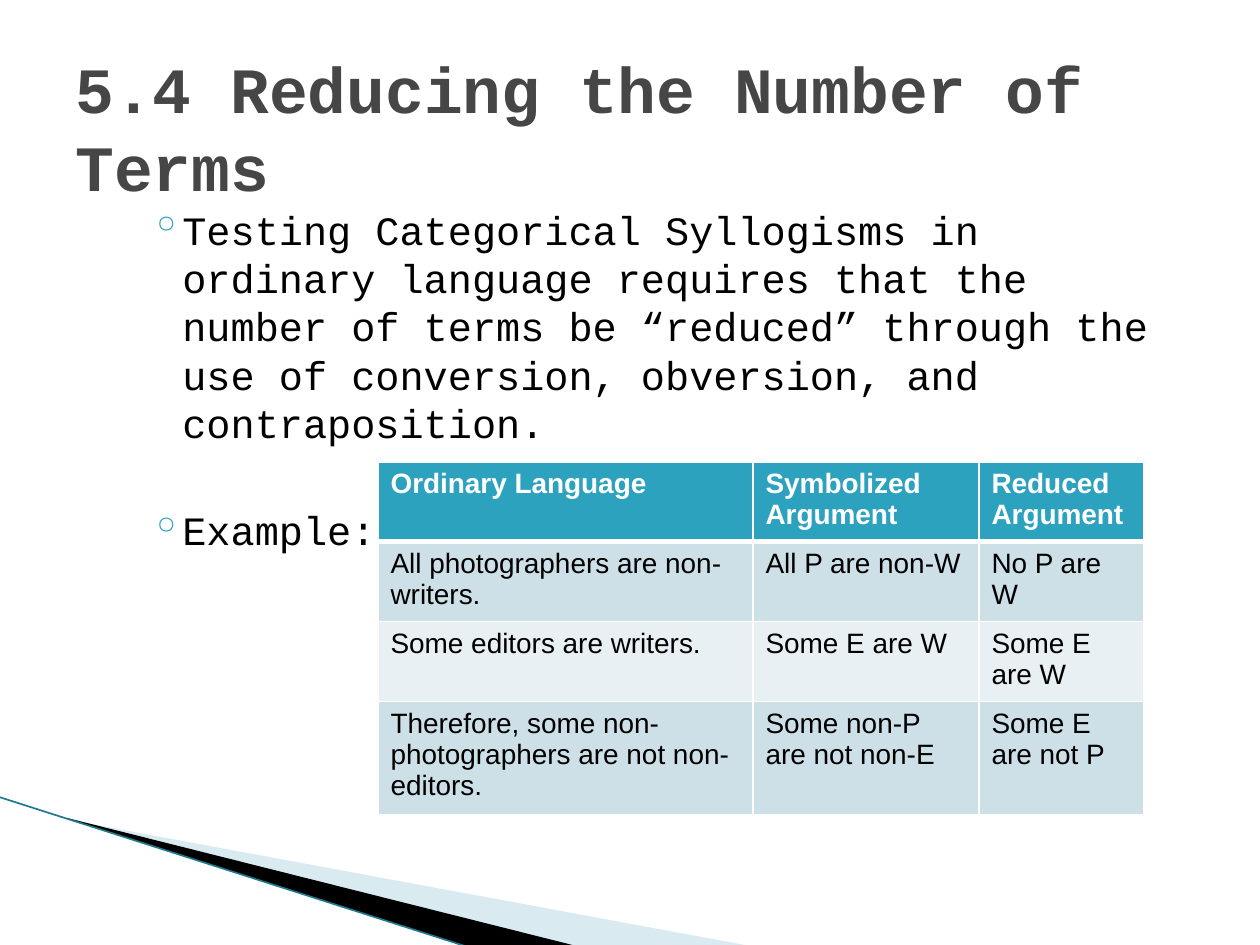
"""Builds a slide on reducing the number of terms in a syllogism."""
from lxml import etree
from pptx import Presentation
from pptx.dml.color import RGBColor
from pptx.enum.shapes import MSO_CONNECTOR
from pptx.enum.text import MSO_ANCHOR
from pptx.oxml.ns import qn
from pptx.util import Emu, Pt

STRAIGHT = MSO_CONNECTOR.STRAIGHT
TOP = MSO_ANCHOR.TOP
SCALE = 914400 / 126
HUES = {"title": "464646", "ink": "000000", "white": "FFFFFF",
        "teal": "2DA2BF", "band": "CDE0E8", "pale": "E8F0F4",
        "sweep": "A0CBDC", "edge": "1F7A8C"}
TITLE = {"name": "Courier New", "size": Pt(36.9), "bold": True}
BODY = {"name": "Courier New", "size": Pt(23), "bold": False}
HEAD = {"name": "Arial", "size": Pt(16), "bold": True}
CELL = {**HEAD, "bold": False}
POINTS = [
    ("Testing Categorical Syllogisms in ordinary language requires that the "
     "number of terms be “reduced” through the use of conversion, obversion, "
     "and contraposition.", 3.2),
    ("Example:", 33.6),
]
ROWS = [
    ("Ordinary Language", "Symbolized Argument", "Reduced Argument"),
    ("All photographers are non-writers.", "All P are non-W", "No P are W"),
    ("Some editors are writers.", "Some E are W", "Some E are W"),
    ("Therefore, some non-photographers are not non-editors.",
     "Some non-P are not non-E", "Some E are not P"),
]
WIDTHS = (375, 226, 165)
HEIGHTS = (79, 79, 80, 113)


def px(num):
    return Emu(round(num * SCALE))


def rgb(hue):
    return RGBColor.from_string(HUES[hue])


def put(item, values):
    for key, value in values.items():
        setattr(item, key, value)


def add(node, tag, **attrs):
    return etree.SubElement(node, qn(tag), attrs)


def write(para, text, style, hue):
    run = para.add_run()
    run.text = text
    put(run.font, style)
    run.font.color.rgb = rgb(hue)


def sweep(slide, spots, hue, alpha=100):
    maker = slide.shapes.build_freeform(*spots[0], scale=SCALE)
    maker.add_line_segments(spots[1:], close=True)
    shape = maker.convert_to_shape()
    shape.shadow.inherit = False
    shape.fill.solid()
    shape.fill.fore_color.rgb = rgb(hue)
    shape.line.fill.background()
    if alpha < 100:
        tint = shape.element.spPr.find(".//" + qn("a:srgbClr"))
        add(tint, "a:alpha", val=str(alpha * 1000))


def edge(slide, start, end):
    line = slide.shapes.add_connector(STRAIGHT, *map(px, start + end))
    line.line.color.rgb = rgb("edge")
    line.line.width = Pt(0.95)
    add(line.element.spPr, "a:effectLst")


def text_box(slide, area, top=6, bottom=6):
    frame = slide.shapes.add_textbox(*map(px, area)).text_frame
    put(frame, {"word_wrap": True, "vertical_anchor": TOP,
                "margin_top": px(top), "margin_bottom": px(bottom)})
    return frame


def bullet(para):
    props = para._p.get_or_add_pPr()
    props.set("marL", str(px(86)))
    props.set("indent", str(-px(32)))
    add(add(props, "a:buClr"), "a:srgbClr", val=HUES["teal"])
    add(props, "a:buChar", char="◦")


def title(slide):
    para = text_box(slide, (63, 38, 1134, 157), 10, 0).paragraphs[0]
    para.line_spacing = Pt(44.6)
    write(para, "5.4 Reducing the Number of Terms", TITLE, "title")


def body(slide):
    frame = text_box(slide, (84, 199, 1099, 583))
    for row, (text, gap) in enumerate(POINTS):
        para = frame.add_paragraph() if row else frame.paragraphs[0]
        put(para, {"line_spacing": Pt(27.6), "space_before": Pt(gap)})
        bullet(para)
        write(para, text, BODY, "ink")


def border(cell, widths):
    props = cell._tc.get_or_add_tcPr()
    for spot, (side, width) in enumerate(widths.items()):
        line = etree.Element(qn("a:ln" + side), w=str(Pt(width)))
        add(add(line, "a:solidFill"), "a:srgbClr", val=HUES["white"])
        props.insert(spot, line)


def table(slide):
    area = (378, 462, sum(WIDTHS), sum(HEIGHTS))
    grid = slide.shapes.add_table(len(ROWS), len(WIDTHS),
                                  *map(px, area)).table
    for col, width in zip(grid.columns, WIDTHS):
        col.width = px(width)
    for row, texts in enumerate(ROWS):
        grid.rows[row].height = px(HEIGHTS[row])
        fill = ("pale", "band")[row % 2] if row else "teal"
        for col, text in enumerate(texts):
            cell = grid.cell(row, col)
            cell.fill.solid()
            cell.fill.fore_color.rgb = rgb(fill)
            border(cell, {"L": 1, "R": 1, "T": 3 if row == 1 else 1,
                          "B": 1 if row else 3})
            write(cell.text_frame.paragraphs[0], text,
                  CELL if row else HEAD, "ink" if row else "white")


def main():
    deck = Presentation()
    put(deck, {"slide_width": px(1260), "slide_height": px(945)})
    slide = deck.slides.add_slide(deck.slide_layouts[6])
    sweep(slide, [(69, 820), (750, 946), (575, 946), (69, 819)], "sweep", 40)
    sweep(slide, [(67, 818), (576, 946), (469, 947), (68, 819)], "ink")
    edge(slide, (-1, 797), (468, 947))
    title(slide)
    body(slide)
    table(slide)
    deck.save("out.pptx")


main()
